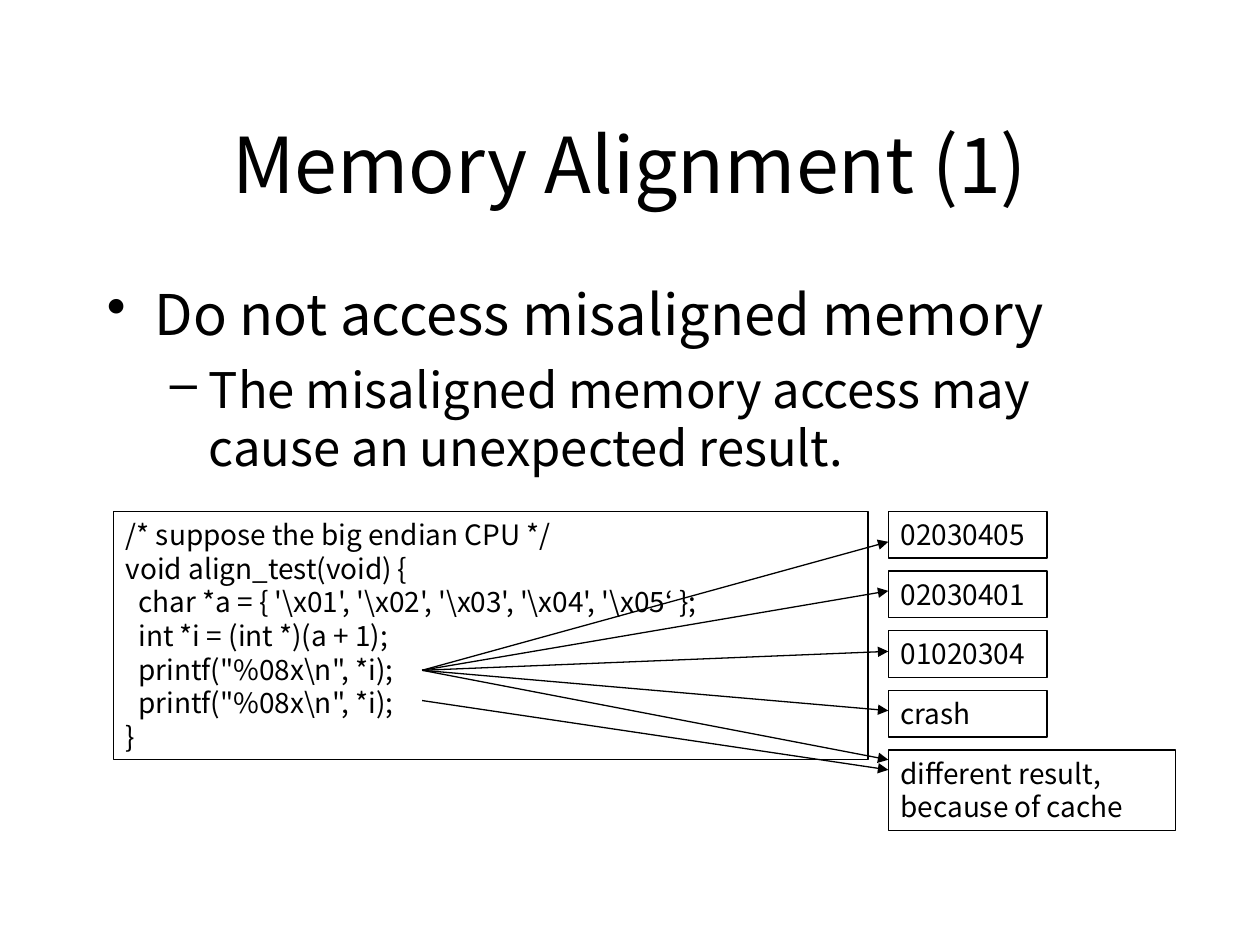
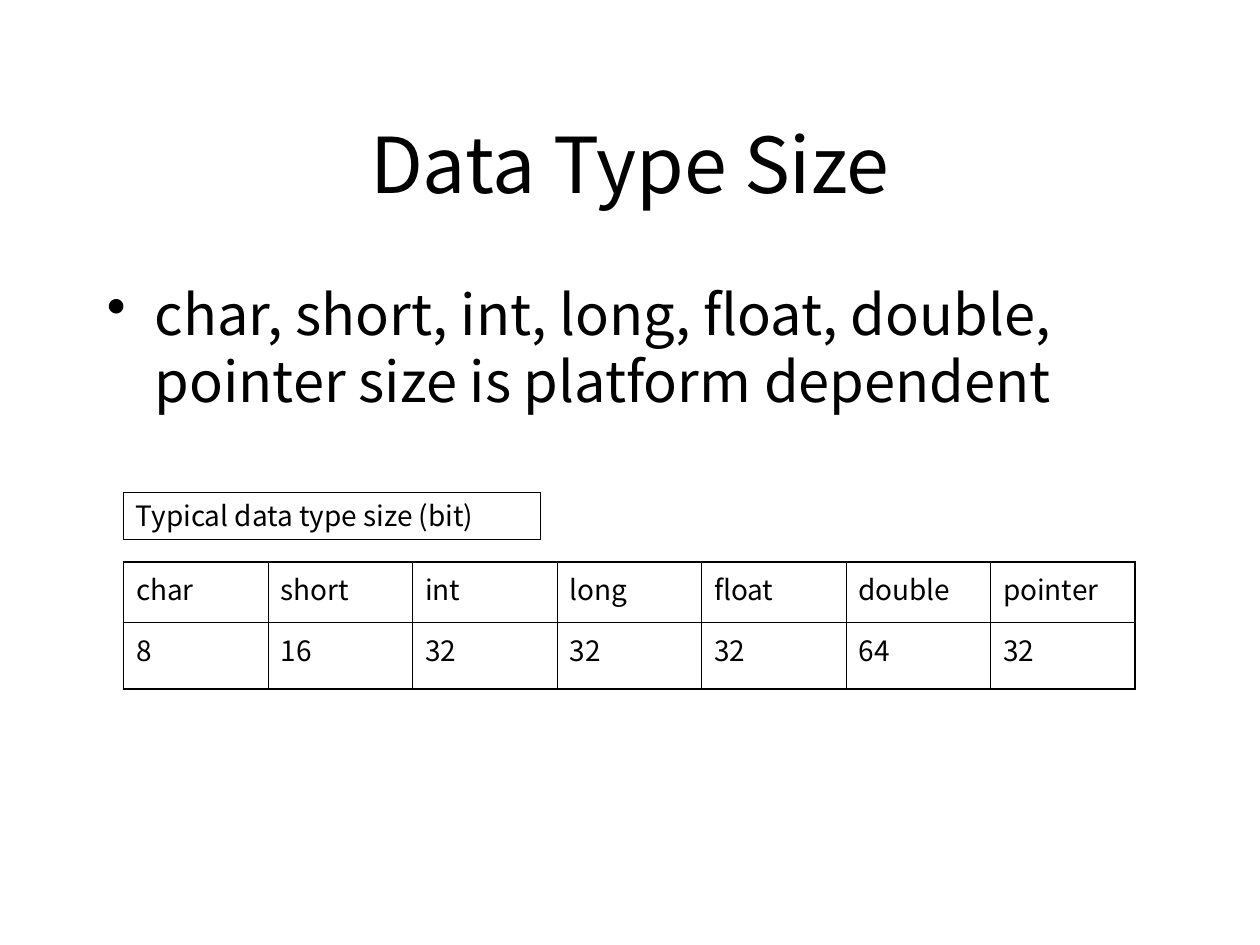
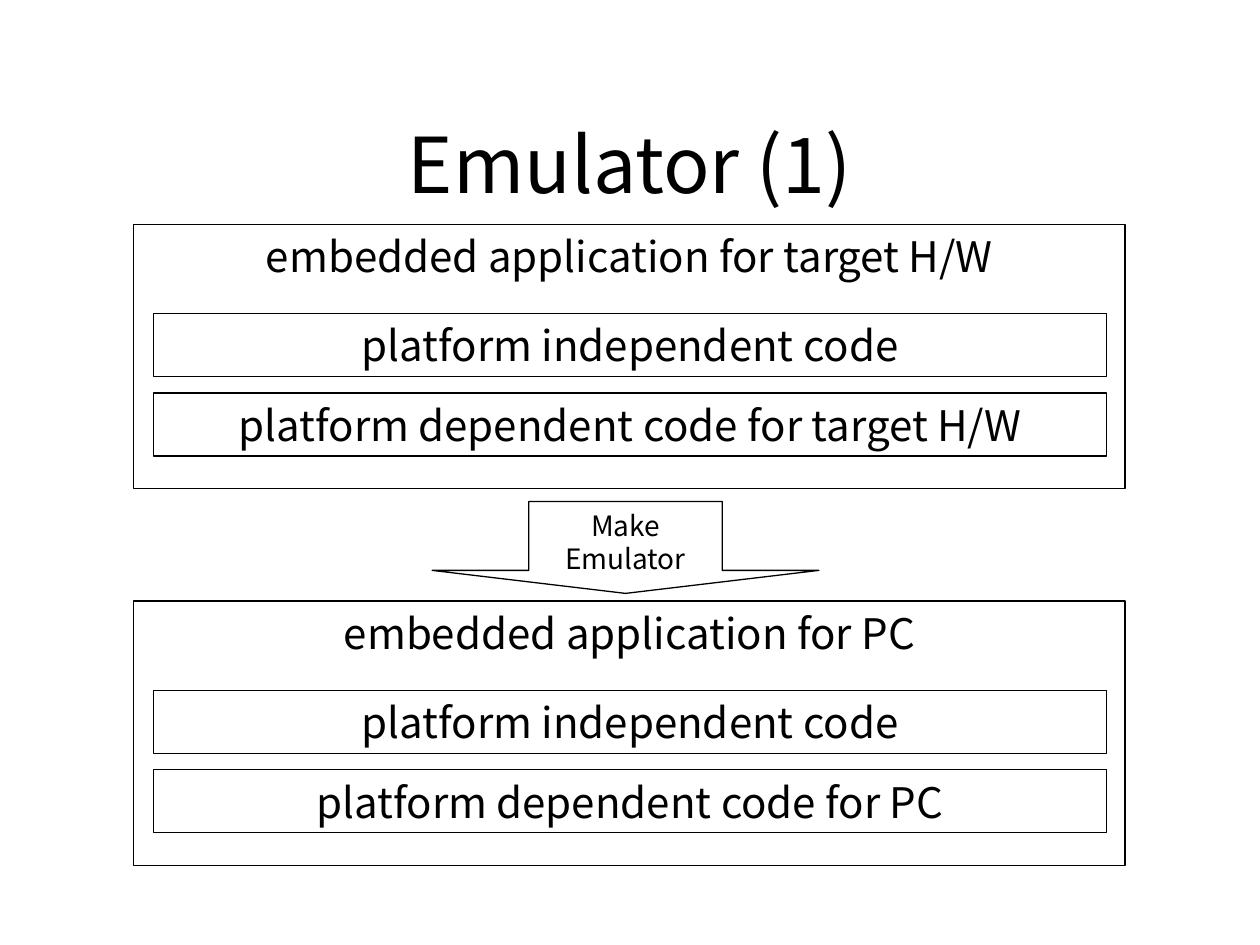
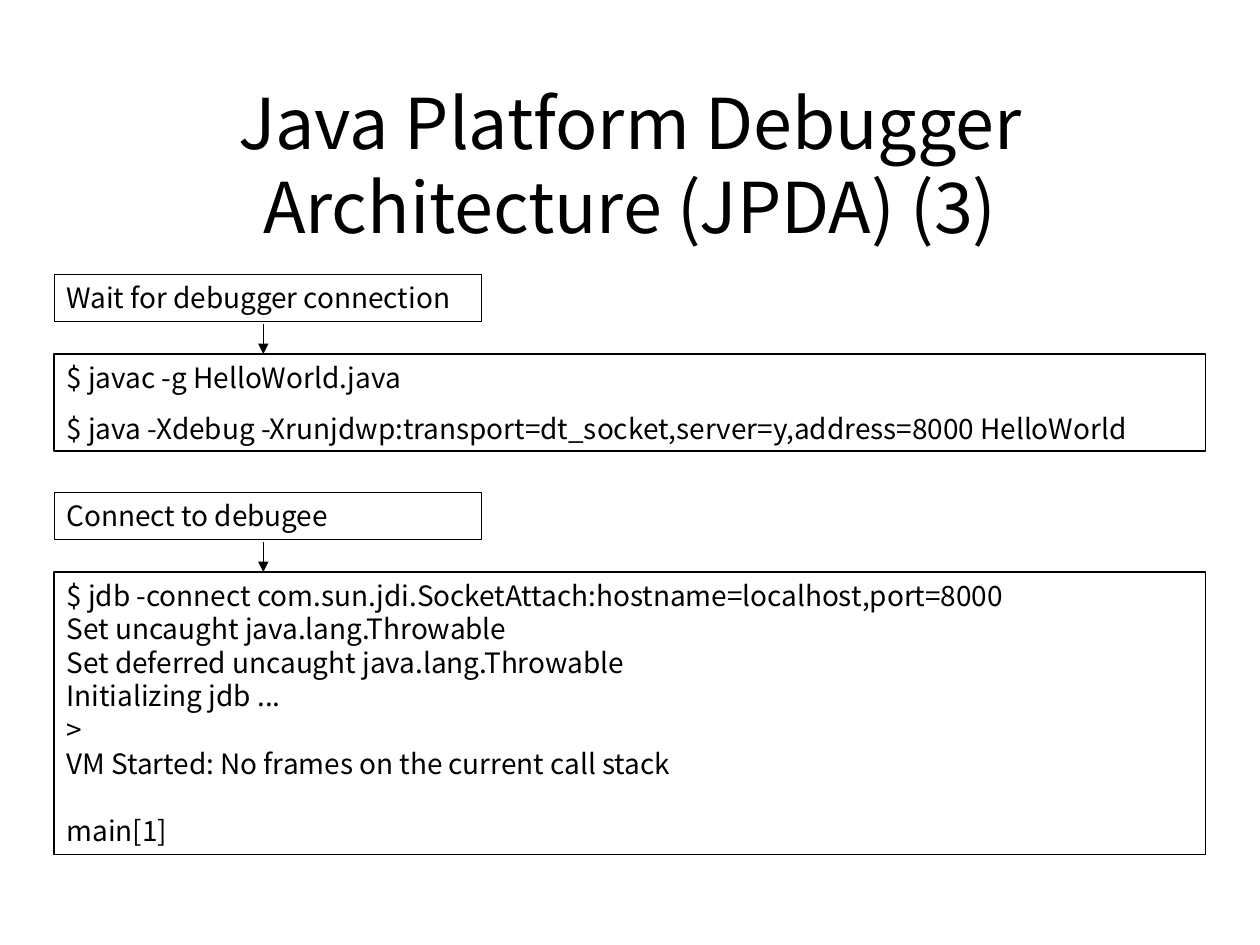
from dataclasses import dataclass

from lxml import etree
from pptx import Presentation
from pptx import util as u
from pptx.dml.color import RGBColor
from pptx.enum import shapes, text
from pptx.oxml.ns import qn


@dataclass(frozen=True)
class Theme:
    ink: RGBColor = RGBColor(0, 0, 0)
    font: str = "Noto Sans CJK KR"
    title: int = 44
    long_title: int = 40
    bullet: int = 32
    sub_bullet: int = 28
    block: int = 24
    small: int = 16
    line: float = 0.75
    grid_outer: float = 1.08
    grid_inner: float = 0.45


theme = Theme()
LEFT, CENTER = text.PP_ALIGN.LEFT, text.PP_ALIGN.CENTER


def write_line(para, words, size, align=LEFT, before=0, indent=0):
    """Put one styled run in a paragraph; before is in points, indent in inches."""
    para.alignment = align
    para.space_before = u.Pt(before)
    if indent:
        para._p.get_or_add_pPr().set("marL", str(u.Inches(indent)))
    span = para.add_run()
    span.text = words
    span.font.size = u.Pt(size)
    span.font.name = theme.font
    span.font.color.rgb = theme.ink


def add_box(page, place, lines, size=theme.small, align=LEFT,
            kind=shapes.MSO_SHAPE.RECTANGLE, anchor=text.MSO_ANCHOR.TOP):
    """Add an outlined shape; each line is (words, space before, indent)."""
    box = page.shapes.add_shape(kind, *map(u.Inches, place))
    box.shadow.inherit = False
    box.fill.background()
    box.line.color.rgb = theme.ink
    box.line.width = u.Pt(theme.line)
    frame = box.text_frame
    frame.word_wrap = True
    frame.vertical_anchor = anchor
    for index, (words, before, indent) in enumerate(lines):
        para = frame.add_paragraph() if index else frame.paragraphs[0]
        write_line(para, words, size, align, before, indent)


deck = Presentation()
deck.slide_width, deck.slide_height = u.Inches(10), u.Inches(7.5)

# Pages and titles
titles = [
    ("Memory Alignment (1)", theme.title),
    ("Data Type Size", theme.title),
    ("Emulator (1)", theme.title),
    ("Java Platform Debugger Architecture (JPDA) (3)", theme.long_title),
]
pages = []
for words, size in titles:
    page = deck.slides.add_slide(deck.slide_layouts[5])
    title = page.shapes.title
    title.left, title.top = u.Inches(0.75), u.Inches(0.67)
    title.width, title.height = u.Inches(8.5), u.Inches(1.25)
    title.text_frame.vertical_anchor = text.MSO_ANCHOR.MIDDLE
    title.text_frame.auto_size = text.MSO_AUTO_SIZE.NONE
    write_line(title.text_frame.paragraphs[0], words, size, CENTER)
    pages.append(page)
alignment_page, types_page, emulator_page, debugger_page = pages

# Bulleted text: (sign, size, space before, left margin, first-line indent) by level
levels = [("•", theme.bullet, 8, 0.38, -0.38), ("–", theme.sub_bullet, 7, 0.81, -0.31)]
bullets = [
    (alignment_page, ["Do not access misaligned memory",
                      "The misaligned memory access may cause an unexpected result."]),
    (types_page, ["char, short, int, long, float, double, pointer size is platform dependent"]),
]
for page, lines in bullets:
    body = page.shapes.add_textbox(*map(u.Inches, (0.75, 2.17, 8.5, 4.5)))
    frame = body.text_frame
    frame.word_wrap = True
    for level, words in enumerate(lines):
        sign, size, before, margin, hanging = levels[level]
        para = frame.add_paragraph() if level else frame.paragraphs[0]
        para.level = level
        write_line(para, words, size, LEFT, before, margin)
        properties = para._p.get_or_add_pPr()
        properties.set("indent", str(u.Inches(hanging)))
        etree.SubElement(properties, qn("a:buChar")).set("char", sign)

arrows = []  # (page, start, end), drawn after all boxes

# Memory alignment: code and its possible results
code = [
    ("/* suppose the big endian CPU */", 0),
    ("void align_test(void) {", 0),
    (r"char *a = { '\x01', '\x02', '\x03', '\x04', '\x05‘ };", 0.1),
    ("int *i = (int *)(a + 1);", 0.1),
    (r'printf("%08x\n", *i);', 0.1),
    (r'printf("%08x\n", *i);', 0.1),
    ("}", 0),
]
add_box(alignment_page, (0.9, 4.06, 5.99, 1.97), [(words, 0, indent) for words, indent in code])

results_left, results_top, results_step = 7.05, 4.06, 0.473
results = ["02030405", "02030401", "01020304", "crash"]
for row, words in enumerate(results):
    top = results_top + row * results_step
    add_box(alignment_page, (results_left, top, 1.26, 0.37), [(words, 0, 0)])
add_box(alignment_page, (results_left, results_top + len(results) * results_step, 2.28, 0.64),
        [("different result,", 0, 0), ("because of cache", 0, 0)])

first_print, second_print = (3.35, 5.32), (3.35, 5.56)
for target in (4.3, 4.69, 5.17, 5.64, 6.03):
    arrows.append((alignment_page, first_print, (results_left, target)))
arrows.append((alignment_page, second_print, (results_left, 6.11)))

# Data type sizes
add_box(types_page, (0.98, 3.91, 3.31, 0.37), [("Typical data type size (bit)", 10, 0)])
type_rows = [
    ["char", "short", "int", "long", "float", "double", "pointer"],
    ["8", "16", "32", "32", "32", "64", "32"],
]
last_row, last_column = len(type_rows) - 1, len(type_rows[0]) - 1
table = types_page.shapes.add_table(last_row + 1, last_column + 1,
                                    *map(u.Inches, (0.98, 4.46, 8.03, 1.01))).table
table.first_row = table.horz_banding = False
for row, height in zip(table.rows, (0.48, 0.53)):
    row.height = u.Inches(height)
for row, values in enumerate(type_rows):
    for column, value in enumerate(values):
        cell = table.cell(row, column)
        write_line(cell.text_frame.paragraphs[0], value, theme.small, before=4)
        outer_sides = {"a:lnL": column == 0, "a:lnR": column == last_column,
                       "a:lnT": row == 0, "a:lnB": row == last_row}
        properties = cell._tc.get_or_add_tcPr()
        for side, outer in outer_sides.items():
            width = theme.grid_outer if outer else theme.grid_inner
            border = etree.SubElement(properties, qn(side), w=str(u.Pt(width)))
            fill = etree.SubElement(border, qn("a:solidFill"))
            etree.SubElement(fill, qn("a:srgbClr"), val=str(theme.ink))
        cell.fill.background()

# Emulator: the same stack for two platforms
for top, platform in ((1.78, "target H/W"), (4.77, "PC")):
    stack = [
        ((1.06, top, 7.87, 2.1), f"embedded application for {platform}"),
        ((1.22, top + 0.71, 7.56, 0.5), "platform independent code"),
        ((1.22, top + 1.34, 7.56, 0.5), f"platform dependent code for {platform}"),
    ]
    for place, words in stack:
        add_box(emulator_page, place, [(words, 0, 0)], theme.block, CENTER)
arrow_shape = shapes.MSO_SHAPE.DOWN_ARROW
add_box(emulator_page, (3.43, 3.98, 3.07, 0.73), [("Make Emulator", 0, 0)],
        align=CENTER, kind=arrow_shape, anchor=text.MSO_ANCHOR.MIDDLE)
emulator_page.shapes[-1].adjustments[0] = 0.5
emulator_page.shapes[-1].adjustments[1] = 0.25

# Debugger sessions: a label, an arrow and the console below it
wait_console = [
    ("$ javac -g HelloWorld.java", 10, 0),
    ("$ java -Xdebug -Xrunjdwp:transport=dt_socket,server=y,address=8000 HelloWorld", 10, 0),
]
connect_console = [
    ("$ jdb -connect com.sun.jdi.SocketAttach:hostname=localhost,port=8000", 0, 0),
    ("Set uncaught java.lang.Throwable", 0, 0),
    ("Set deferred uncaught java.lang.Throwable", 0, 0),
    ("Initializing jdb ...", 0, 0),
    (">", 0, 0),
    ("VM Started: No frames on the current call stack", 0, 0),
    ("main[1]", 19.2, 0),
]
sessions = [
    (2.18, "Wait for debugger connection", 0.77, wait_console),
    (3.91, "Connect to debugee", 2.24, connect_console),
]
for top, label, height, console in sessions:
    console_top = top + 0.63
    add_box(debugger_page, (0.43, top, 3.39, 0.37), [(label, 10, 0)])
    add_box(debugger_page, (0.43, console_top, 9.14, height), console)
    arrows.append((debugger_page, (2.09, top + 0.39), (2.09, console_top)))

for page, start, end in arrows:
    arrow = page.shapes.add_connector(shapes.MSO_CONNECTOR.STRAIGHT,
                                      *map(u.Inches, start + end))
    arrow.line.color.rgb = theme.ink
    arrow.line.width = u.Pt(theme.line)
    etree.SubElement(arrow.line._get_or_add_ln(), qn("a:tailEnd"), type="triangle")
    etree.SubElement(arrow._element.spPr, qn("a:effectLst"))

deck.save("out.pptx")
